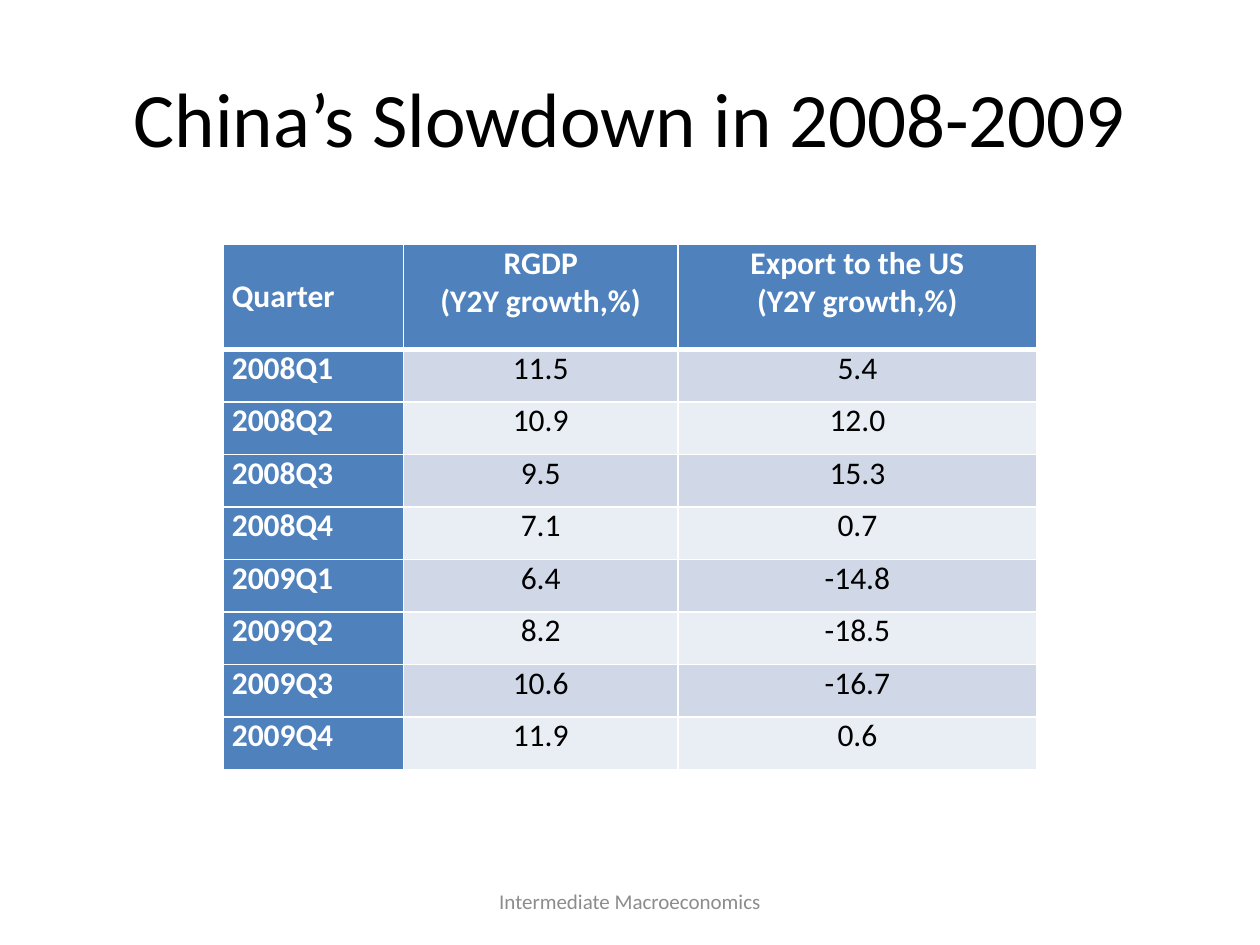
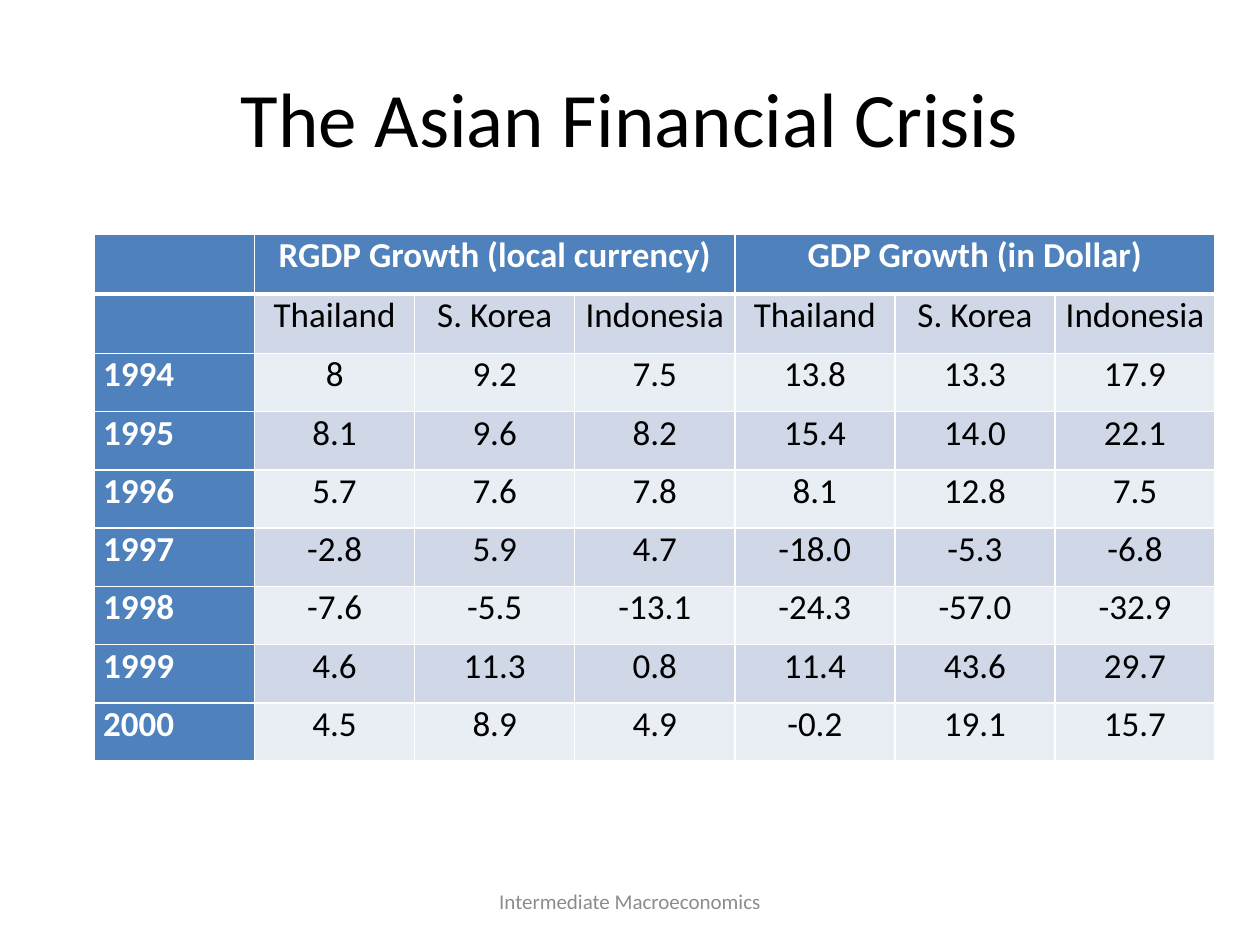
from lxml import etree
from pptx import Presentation
from pptx.dml.color import RGBColor
from pptx.enum import text as t
from pptx.oxml.ns import qn
from pptx.util import Pt

FONT = "Calibri"
WHITE, BLACK, GREY = "FFFFFF", "000000", "8C8C8C"
BLUE, BAND_DARK, BAND_LIGHT = "4F81BD", "D0D8E8", "E9EDF4"
TITLE_BOX = (36, 21.6, 648, 90)
FOOTER_BOX = (246, 500.5, 228, 28.8)
FOOTER = "Intermediate Macroeconomics"
CENTER, JUSTIFY = t.PP_ALIGN.CENTER, t.PP_ALIGN.JUSTIFY

SLOWDOWN = [
    ["Quarter", "RGDP\n(Y2Y growth,%)", "Export to the US\n(Y2Y growth,%)"],
    ["2008Q1", "11.5", "5.4"],
    ["2008Q2", "10.9", "12.0"],
    ["2008Q3", "9.5", "15.3"],
    ["2008Q4", "7.1", "0.7"],
    ["2009Q1", "6.4", "-14.8"],
    ["2009Q2", "8.2", "-18.5"],
    ["2009Q3", "10.6", "-16.7"],
    ["2009Q4", "11.9", "0.6"],
]
COUNTRIES = ["Thailand", "S. Korea", "Indonesia"]
CRISIS = [
    ["", "RGDP Growth (local currency)", "", "", "GDP Growth (in Dollar)", "", ""],
    [""] + COUNTRIES * 2,
    ["1994", "8", "9.2", "7.5", "13.8", "13.3", "17.9"],
    ["1995", "8.1", "9.6", "8.2", "15.4", "14.0", "22.1"],
    ["1996", "5.7", "7.6", "7.8", "8.1", "12.8", "7.5"],
    ["1997", "-2.8", "5.9", "4.7", "-18.0", "-5.3", "-6.8"],
    ["1998", "-7.6", "-5.5", "-13.1", "-24.3", "-57.0", "-32.9"],
    ["1999", "4.6", "11.3", "0.8", "11.4", "43.6", "29.7"],
    ["2000", "4.5", "8.9", "4.9", "-0.2", "19.1", "15.7"],
]


def rgb(value):
    return RGBColor.from_string(value)


def format_text(tf, size, color, align=CENTER, bold=False):
    for p in tf.paragraphs:
        p.alignment = align
        for item in [p, *p.runs]:
            item.font.name = FONT
            item.font.size = Pt(size)
            item.font.bold = bold
            item.font.color.rgb = rgb(color)


def fill_box(sp, box, text, size, color):
    sp.left, sp.top, sp.width, sp.height = map(Pt, box)
    tf = sp.text_frame
    tf.text = text
    tf.word_wrap = True
    tf.auto_size = t.MSO_AUTO_SIZE.NONE
    tf.vertical_anchor = t.MSO_ANCHOR.MIDDLE
    format_text(tf, size, color)


def set_borders(cell, top, bottom):
    tc_pr = cell._tc.get_or_add_tcPr()
    for tag, width in (("a:lnL", 1), ("a:lnR", 1), ("a:lnT", top), ("a:lnB", bottom)):
        ln = etree.SubElement(tc_pr, qn(tag), w=str(Pt(width)))
        fill = etree.SubElement(ln, qn("a:solidFill"))
        etree.SubElement(fill, qn("a:srgbClr"), val=WHITE)


def style_cell(cell, row, col, size):
    set_borders(cell, 3 if row == 1 else 1, 3 if row == 0 else 1)
    header = row == 0 or col == 0
    cell.fill.solid()
    cell.fill.fore_color.rgb = rgb(BLUE if header else BAND_DARK if row % 2 else BAND_LIGHT)
    cell.margin_left = cell.margin_right = Pt(5)
    cell.margin_top = cell.margin_bottom = 0
    format_text(cell.text_frame, size, WHITE if header else BLACK,
                CENTER if col else JUSTIFY, header)


def add_growth_table(s, left, top, widths, heights, data, size):
    shape = s.shapes.add_table(len(heights), len(widths), Pt(left), Pt(top),
                               Pt(sum(widths)), Pt(sum(heights)))
    table = shape.table
    for column, width in zip(table.columns, widths):
        column.width = Pt(width)
    for row, height in zip(table.rows, heights):
        row.height = Pt(height)
    for i, values in enumerate(data):
        for j, value in enumerate(values):
            cell = table.cell(i, j)
            cell.text = value
            style_cell(cell, i, j, size)
    return table


def add_titled_slide(prs, title):
    s = prs.slides.add_slide(prs.slide_layouts[5])
    fill_box(s.shapes.title, TITLE_BOX, title, 44, BLACK)
    footer = s.shapes.add_textbox(*map(Pt, FOOTER_BOX))
    fill_box(footer, FOOTER_BOX, FOOTER, 12, GREY)
    return s


def add_slowdown_slide(prs):
    s = add_titled_slide(prs, "China’s Slowdown in 2008-2009")
    table = add_growth_table(s, 127.5, 139.7, [103, 157, 205], [60] + [30] * 8, SLOWDOWN, 18)
    table.cell(0, 0).vertical_anchor = t.MSO_ANCHOR.MIDDLE


def add_crisis_slide(prs):
    s = add_titled_slide(prs, "The Asian Financial Crisis")
    table = add_growth_table(s, 54, 134, [91.5] * 7, [34] * 2 + [33.3] * 7, CRISIS, 20)
    for first in (1, 4):
        table.cell(0, first).merge(table.cell(0, first + 2))


def main():
    prs = Presentation()
    prs.slide_width, prs.slide_height = Pt(720), Pt(540)
    add_slowdown_slide(prs)
    add_crisis_slide(prs)
    prs.save("out.pptx")


if __name__ == "__main__":
    main()
